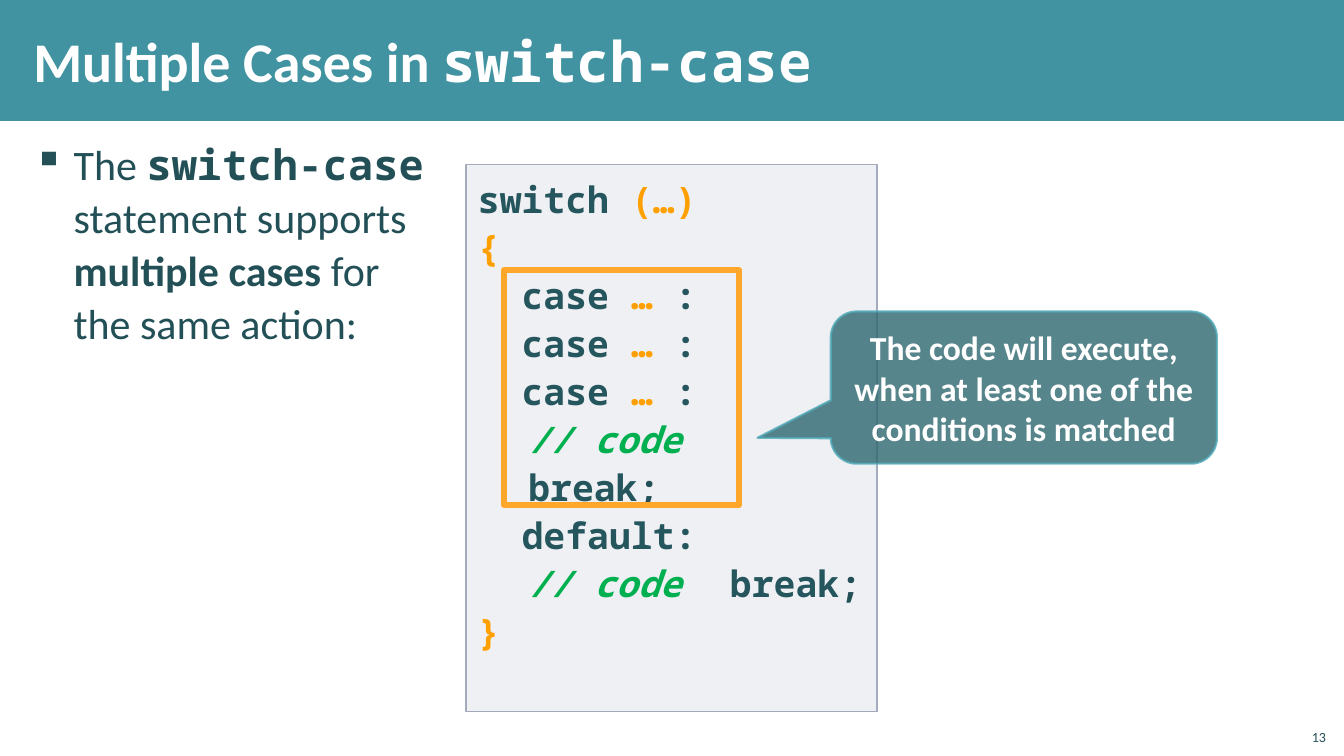
from lxml.etree import SubElement
from pptx import Presentation
from pptx.dml.color import RGBColor
from pptx.enum.shapes import MSO_SHAPE
from pptx.enum.text import MSO_ANCHOR, PP_ALIGN
from pptx.oxml.ns import qn
from pptx.util import Inches, Pt

WHITE = RGBColor(0xFF, 0xFF, 0xFF)
TEAL = RGBColor(0x41, 0x93, 0xA1)
DARK = RGBColor(0x23, 0x50, 0x57)
CODE_DARK = RGBColor(0x25, 0x56, 0x5E)
ORANGE = RGBColor(0xFF, 0xA0, 0x00)
GREEN = RGBColor(0x00, 0xB0, 0x50)
PANEL_FILL = RGBColor(0xC2, 0xC7, 0xD2)
PANEL_LINE = RGBColor(0xA3, 0xAB, 0xBC)
FRAME_LINE = RGBColor(0xFF, 0xA7, 0x2A)
CALLOUT_FILL = RGBColor(0x2E, 0x67, 0x70)
CALLOUT_LINE = RGBColor(0x50, 0xA9, 0xB8)
SANS = "Calibri"
MONO = "Noto Sans Mono"

deck = Presentation()
deck.slide_width = Inches(13.33)
deck.slide_height = Inches(7.5)
page = deck.slides.add_slide(deck.slide_layouts[6])


def add_span(paragraph, text, size, color, font=SANS, bold=False, italic=False):
    span = paragraph.add_run()
    span.text = text
    span.font.name = font
    span.font.size = Pt(size)
    span.font.bold = bold
    span.font.italic = italic
    span.font.color.rgb = color


def set_opacity(color_parent, percent):
    color = next(color_parent.iter(qn("a:srgbClr")))
    SubElement(color, qn("a:alpha")).set("val", str(percent * 1000))


banner = page.shapes.add_shape(
    MSO_SHAPE.RECTANGLE, 0, 0, deck.slide_width, Inches(1.2))
banner.shadow.inherit = False
banner.fill.solid()
banner.fill.fore_color.rgb = TEAL
banner.line.fill.background()

body = page.shapes.add_textbox(Inches(0.21), Inches(1.31), Inches(4.25), Inches(6.08))
title = page.shapes.add_textbox(Inches(0.21), Inches(0.11), Inches(10.71), Inches(0.97))
for box in (body, title):
    frame = box.text_frame
    frame.word_wrap = True
    frame.margin_left = frame.margin_right = Inches(0.12)
    frame.margin_top = frame.margin_bottom = Inches(0.04)

bullet = body.text_frame.paragraphs[0]
bullet.line_spacing = 1.05
bullet.space_after = Pt(6)
properties = bullet._p.get_or_add_pPr()
properties.set("marL", str(Inches(0.4)))
properties.set("indent", str(-Inches(0.4)))
SubElement(properties, qn("a:buChar")).set("char", "▪")
add_span(bullet, "The ", 30, DARK)
add_span(bullet, "switch-case", 30, DARK, MONO, bold=True)
add_span(bullet, " statement supports ", 30, DARK)
add_span(bullet, "multiple cases ", 30, DARK, bold=True)
add_span(bullet, "for the same action:", 30, DARK)

title.text_frame.vertical_anchor = MSO_ANCHOR.MIDDLE
heading = title.text_frame.paragraphs[0]
add_span(heading, "Multiple Cases in ", 40, WHITE, bold=True)
add_span(heading, "switch-case", 40, WHITE, MONO, bold=True)

panel = page.shapes.add_shape(
    MSO_SHAPE.RECTANGLE, Inches(4.62), Inches(1.63), Inches(4.08), Inches(5.43))
panel.shadow.inherit = False
panel.fill.solid()
panel.fill.fore_color.rgb = PANEL_FILL
set_opacity(panel.fill._xPr.find(qn("a:solidFill")), 25)
panel.line.color.rgb = PANEL_LINE
panel.line.width = Pt(1)
frame = panel.text_frame
frame.word_wrap = True
frame.vertical_anchor = MSO_ANCHOR.TOP
frame.margin_left = frame.margin_right = Inches(0.12)
frame.margin_top = frame.margin_bottom = Inches(0.08)

case_line = [("  case ", CODE_DARK), ("… ", ORANGE), (":", CODE_DARK)]
code_lines = [
    [("switch ", CODE_DARK), ("(…)", ORANGE)],
    [("{", ORANGE)],
    case_line,
    case_line,
    case_line,
    [("\t", CODE_DARK), ("// code", GREEN)],
    [("\tbreak", CODE_DARK), (";", DARK)],
    [("  default:", CODE_DARK)],
    [("\t", CODE_DARK), ("// code \t", GREEN), ("break", CODE_DARK), (";", DARK)],
    [("}", ORANGE)],
]
for index, spans in enumerate(code_lines):
    paragraph = frame.add_paragraph() if index else frame.paragraphs[0]
    paragraph.alignment = PP_ALIGN.LEFT
    paragraph.line_spacing = 1.1
    for text, color in spans:
        add_span(paragraph, text, 26, color, MONO, bold=True, italic=color == GREEN)

case_frame = page.shapes.add_shape(
    MSO_SHAPE.RECTANGLE, Inches(5), Inches(2.68), Inches(2.33), Inches(2.33))
case_frame.shadow.inherit = False
case_frame.fill.background()
case_frame.line.color.rgb = FRAME_LINE
case_frame.line.width = Pt(4.5)

callout = page.shapes.add_shape(
    MSO_SHAPE.ROUNDED_RECTANGULAR_CALLOUT,
    Inches(8.24), Inches(3.09), Inches(3.83), Inches(1.51))
callout.shadow.inherit = False
for position, value in enumerate((-0.69, 0.33, 0.17)):
    callout.adjustments[position] = value
callout.fill.solid()
callout.fill.fore_color.rgb = CALLOUT_FILL
callout.line.color.rgb = CALLOUT_LINE
callout.line.width = Pt(1.5)
set_opacity(callout.fill._xPr.find(qn("a:solidFill")), 80)
set_opacity(callout.line._ln, 80)
callout.text_frame.word_wrap = True
callout.text_frame.vertical_anchor = MSO_ANCHOR.MIDDLE
message = callout.text_frame.paragraphs[0]
message.alignment = PP_ALIGN.CENTER
add_span(message, "The code will execute, when at least one of the conditions is matched",
         24, WHITE, bold=True)

number = page.shapes.add_textbox(Inches(12.85), Inches(7.12), Inches(0.4), Inches(0.32))
number.text_frame.word_wrap = True
number.text_frame.vertical_anchor = MSO_ANCHOR.BOTTOM
number.text_frame.paragraphs[0].alignment = PP_ALIGN.RIGHT
add_span(number.text_frame.paragraphs[0], "13", 10, DARK)

deck.save("out.pptx")
